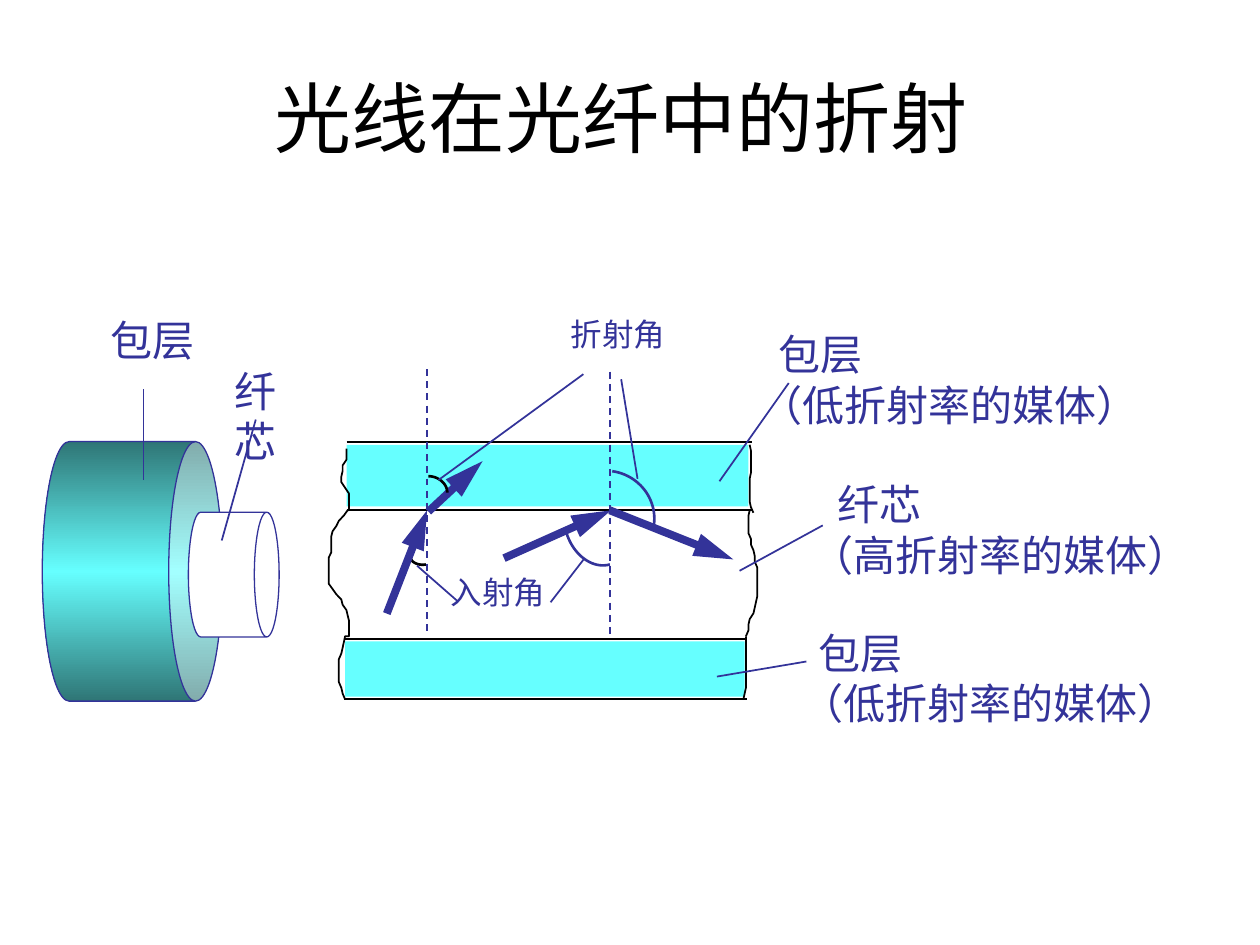
from copy import deepcopy

from pptx import Presentation
from pptx import util as u
from pptx.dml.color import RGBColor
from pptx.enum import dml, shapes, text
from pptx.oxml import ns
from pptx.oxml.xmlchemy import OxmlElement

COLUMNS = 10
SLIDE_WIDTH, SLIDE_HEIGHT = u.Inches(10), u.Inches(7.5)
CELL = SLIDE_WIDTH // COLUMNS

BLACK = RGBColor(0x00, 0x00, 0x00)
WHITE = RGBColor(0xFF, 0xFF, 0xFF)
INDIGO = RGBColor(0x33, 0x33, 0x99)
CYAN = RGBColor(0x66, 0xFF, 0xFF)
TEAL = RGBColor(0x2F, 0x76, 0x76)

NORMAL_1, NORMAL_2 = 3.39, 4.84
CLADDING_NOTE = ["包层", "（低折射率的媒体）"]
CORE_NOTE = ["纤芯", "（高折射率的媒体）"]

LEFT_EDGE = [
    (3.56, 4.05, [2.75] * 3 + [2.72] * 2 + [2.71] * 2 + [2.74] + [2.77] * 4),
    (4.05, 5.05, [2.76, 2.73, 2.69, 2.67, 2.64] + [2.63] * 4 + [2.61] * 6
     + [2.64, 2.67, 2.71, 2.72, 2.75, 2.76] + [2.77] * 4),
    (5.05, 5.55, [2.74, 2.73, 2.72, 2.71] + [2.69] * 5 + [2.71, 2.72, 2.74]),
]
RIGHT_EDGES = [
    [(3.53, 4.07, [5.95] + [5.96] * 5 + [5.95] * 5 + [5.96, 5.98])],
    [(4.05, 5.05, [5.95] + [5.94] * 4 + [5.96] * 2 + [5.98] + [5.99] * 2
      + [6.01] * 6 + [6, 5.99, 5.98, 5.95, 5.94, 5.94, 5.92])],
    [(5.05, 5.55, [5.92] * 10 + [5.91, 5.9])],
]


def grid(*cells):
    return [u.Emu(round(cell * CELL)) for cell in cells]


def style_line(shape, color, width):
    shape.line.color.rgb = color
    shape.line.width = u.Pt(width)


def add_line(container, start, end, color=INDIGO, width=1, dashed=False, arrow=False):
    connector = container.shapes.add_connector(
        shapes.MSO_CONNECTOR.STRAIGHT, *grid(*start, *end))
    style_line(connector, color, width)
    properties = connector._element.spPr
    if dashed:
        connector.line.dash_style = dml.MSO_LINE.DASH
    if arrow:
        tail = OxmlElement("a:tailEnd")
        tail.set("type", "triangle")
        tail.set("w", "med")
        tail.set("len", "lg")
        properties.find(ns.qn("a:ln")).append(tail)
    properties.append(OxmlElement("a:effectLst"))


def add_outline(slide, points, color, width):
    vertices = [grid(*point) for point in points]
    builder = slide.shapes.build_freeform(*vertices[0], scale=1.0)
    builder.add_line_segments(vertices[1:], close=False)
    shape = builder.convert_to_shape()
    shape.shadow.inherit = False
    shape.fill.background()
    style_line(shape, color, width)


def add_torn_edge(slide, sections):
    points = []
    for top, bottom, columns in sections:
        step = (bottom - top) / (len(columns) - 1)
        points += [(column, top + index * step) for index, column in enumerate(columns)]
    add_outline(slide, points, BLACK, 1)


def add_arc(slide, controls, color, steps=24):
    points = []
    for index in range(steps + 1):
        t = index / steps
        weights = ((1 - t) ** 3, 3 * t * (1 - t) ** 2, 3 * t * t * (1 - t), t ** 3)
        points.append([sum(weight * value for weight, value in zip(weights, axis))
                       for axis in zip(*controls)])
    add_outline(slide, points, color, 1.5)


def add_cladding(slide, left, right, top, bottom, box):
    group = slide.shapes.add_group_shape()
    for row in (top, bottom):
        add_line(group, (left, row), (right, row), BLACK)
    band = group.shapes.add_shape(shapes.MSO_SHAPE.RECTANGLE, *grid(*box))
    band.shadow.inherit = False
    band.fill.solid()
    band.fill.fore_color.rgb = CYAN
    band.line.fill.background()


def add_cylinder(slide, box, depth, colors):
    can = slide.shapes.add_shape(shapes.MSO_SHAPE.CAN, *grid(*box))
    can.rotation = 90
    can.adjustments[0] = depth
    can.shadow.inherit = False
    style_line(can, INDIGO, 0.75)
    if len(colors) == 1:
        can.fill.solid()
        can.fill.fore_color.rgb = colors[0]
        return
    can.fill.gradient()
    can.fill.gradient_angle = 0
    stops = can._element.spPr.find(".//" + ns.qn("a:gsLst"))
    stops.append(deepcopy(stops[0]))
    for index, (stop, color) in enumerate(zip(can.fill.gradient_stops, colors)):
        stop.position = index / (len(colors) - 1)
        stop.color.rgb = color


def add_label(slide, box, lines, size=24, wrap=True, indent=0):
    frame = slide.shapes.add_textbox(*grid(*box)).text_frame
    frame.word_wrap = wrap
    frame.auto_size = text.MSO_AUTO_SIZE.SHAPE_TO_FIT_TEXT
    frame.text = "\n".join(lines)
    if indent:
        frame.paragraphs[0]._p.get_or_add_pPr().set("indent", str(u.Inches(indent)))
    for paragraph in frame.paragraphs:
        for run in paragraph.runs:
            run.font.name = "Arial"
            run.font.size = u.Pt(size)
            run.font.color.rgb = INDIGO


def add_title(slide):
    title = slide.shapes.title
    title.left, title.top, title.width, title.height = grid(0.5, 0.3, 9, 1.25)
    title.text_frame.text = "光线在光纤中的折射 "
    title.text_frame.vertical_anchor = text.MSO_ANCHOR.MIDDLE
    paragraph = title.text_frame.paragraphs[0]
    paragraph.alignment = text.PP_ALIGN.CENTER
    font = paragraph.runs[0].font
    font.name, font.size, font.color.rgb = "Calibri", u.Pt(44), BLACK


def add_section(slide):
    add_arc(slide, [(3.38, 4.48), (3.33, 4.49), (3.27, 4.47), (3.26, 4.43)], BLACK)
    add_cladding(slide, 2.75, 5.97, 3.51, 4.05, (2.75, 3.53, 3.19, 0.49))
    add_cladding(slide, 2.73, 5.93, 5.07, 5.55, (2.74, 5.09, 3.17, 0.44))
    for column, top in ((NORMAL_1, 2.93), (NORMAL_2, 2.95)):
        add_line(slide, (column, top), (column, top + 2.12), dashed=True)
    for start, end in (((3.4, 4.06), (3.83, 3.66)), ((3.07, 4.87), (3.39, 4.05)),
                       ((4, 4.43), (4.85, 4.05)), ((4.84, 4.05), (5.82, 4.44))):
        add_line(slide, start, end, width=4.5, arrow=True)
    add_arc(slide, [(3.4, 3.78), (3.48, 3.78), (3.55, 3.84), (3.55, 3.91)], BLACK)
    add_arc(slide, [(4.84, 4.48), (4.7, 4.52), (4.54, 4.4), (4.49, 4.21)], INDIGO)
    add_arc(slide, [(4.86, 3.74), (5.07, 3.77), (5.22, 3.96), (5.19, 4.17)], INDIGO)
    for edge in [LEFT_EDGE, *RIGHT_EDGES]:
        add_torn_edge(slide, edge)


def add_labels(slide):
    add_label(slide, (4.43, 2.45, 1.2, 0.5), ["折射角"], size=18)
    add_label(slide, (3.48, 4.5, 1.2, 0.5), ["入射角"], size=18)
    for left, top in ((5.94, 2.56), (6.26, 4.93)):
        add_label(slide, (left, top, 3.2, 0.9), CLADDING_NOTE, wrap=False, indent=0.14)
    add_label(slide, (6.34, 3.75, 3.48, 0.9), CORE_NOTE, indent=0.21)
    add_label(slide, (0.78, 2.45, 0.87, 0.5), ["包层"], wrap=False)
    add_label(slide, (1.76, 2.85, 0.76, 0.9), ["纤芯"])
    for start, end in (((4.93, 3.01), (5.06, 3.8)), ((3.48, 3.81), (4.63, 2.97)),
                       ((3.31, 4.49), (3.63, 4.77)), ((4.37, 4.78), (4.64, 4.43)),
                       ((5.87, 4.53), (6.53, 4.17)), ((6.26, 3.04), (5.71, 3.82)),
                       ((6.4, 5.25), (5.69, 5.37)), ((1.14, 3.09), (1.14, 3.81)),
                       ((2.03, 3.33), (1.76, 4.29))):
        add_line(slide, start, end)


def main():
    presentation = Presentation()
    presentation.slide_width, presentation.slide_height = SLIDE_WIDTH, SLIDE_HEIGHT
    slide = presentation.slides.add_slide(presentation.slide_layouts[5])
    add_title(slide)
    add_section(slide)
    add_cylinder(slide, (0.02, 3.82, 2.06, 1.43), 0.298, [TEAL, CYAN, TEAL])
    add_cylinder(slide, (1.36, 4.2, 0.99, 0.72), 0.273, [WHITE])
    add_labels(slide)
    presentation.save("out.pptx")


if __name__ == "__main__":
    main()
